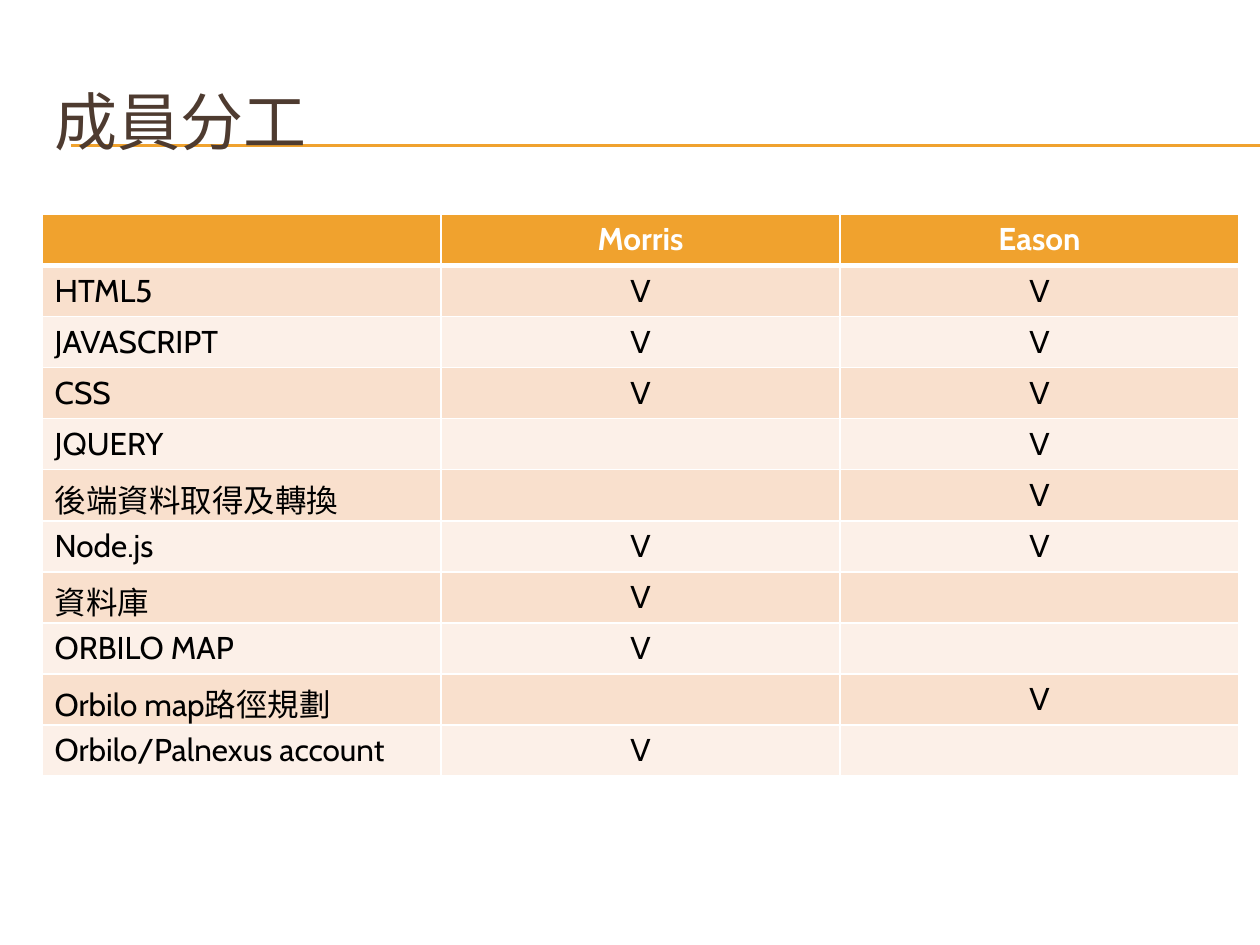
from dataclasses import dataclass

from lxml.etree import SubElement
from pptx import Presentation
from pptx.dml.color import RGBColor as RGB
from pptx.enum.shapes import MSO_CONNECTOR as Connector
from pptx.enum.text import MSO_ANCHOR as Anchor, PP_ALIGN as Align
from pptx.oxml.ns import qn
from pptx.util import Pt


@dataclass(frozen=True)
class Theme:
    font: str = "Cabin"
    title_size: int = 36
    table_size: int = 18
    title: str = "4E3B30"
    accent: str = "F0A22E"
    text: str = "000000"
    white: str = "FFFFFF"
    bands: tuple = ("F9E0CD", "FCF0E8")


THEME = Theme()
HEADER = ("", "Morris", "Eason")
TASKS = (
    ("HTML5", "V", "V"),
    ("JAVASCRIPT", "V", "V"),
    ("CSS", "V", "V"),
    ("JQUERY", "", "V"),
    ("後端資料取得及轉換", "", "V"),
    ("Node.js", "V", "V"),
    ("資料庫", "V", ""),
    ("ORBILO MAP", "V", ""),
    ("Orbilo map路徑規劃", "", "V"),
    ("Orbilo/Palnexus account", "V", ""),
)


def write(paragraph, text, size, color, bold=False):
    run = paragraph.add_run()
    run.text = text
    formats = {"name": THEME.font, "size": Pt(size), "bold": bold}
    for name, value in formats.items():
        setattr(run.font, name, value)
    run.font.color.rgb = RGB.from_string(color)


def add_rules(slide, left, top, width, gap):
    for y in (top, top + gap):
        line = slide.shapes.add_connector(
            Connector.STRAIGHT, Pt(left), Pt(y), Pt(left + width), Pt(y))
        line.line.color.rgb = RGB.from_string(THEME.accent)
        line.line.width = Pt(0.75)
        SubElement(line.element.spPr, qn("a:effectLst"))


def add_title(slide, text, left, top, width, height):
    shape = slide.shapes.add_textbox(Pt(left), Pt(top), Pt(width), Pt(height))
    frame = shape.text_frame
    frame.word_wrap = True
    frame.vertical_anchor = Anchor.MIDDLE
    write(frame.paragraphs[0], text, THEME.title_size, THEME.title)


def add_borders(cell, widths):
    properties = cell._tc.get_or_add_tcPr()
    for side, width in widths.items():
        line = SubElement(properties, qn(f"a:ln{side}"), w=str(Pt(width)))
        fill = SubElement(line, qn("a:solidFill"))
        SubElement(fill, qn("a:srgbClr"), val=THEME.white)


def add_task_table(slide, left, top, width, row_height):
    rows = (HEADER, *TASKS)
    table = slide.shapes.add_table(
        len(rows), len(HEADER), Pt(left), Pt(top),
        Pt(width), Pt(row_height * len(rows))).table
    for row_index, values in enumerate(rows):
        is_header = row_index == 0
        fill = THEME.accent if is_header else THEME.bands[(row_index - 1) % 2]
        color = THEME.white if is_header else THEME.text
        borders = {"L": 1, "R": 1, "T": 3 if row_index == 1 else 1,
                   "B": 3 if is_header else 1}
        for column_index, value in enumerate(values):
            cell = table.cell(row_index, column_index)
            add_borders(cell, borders)
            cell.fill.solid()
            cell.fill.fore_color.rgb = RGB.from_string(fill)
            paragraph = cell.text_frame.paragraphs[0]
            paragraph.alignment = Align.CENTER if column_index else Align.LEFT
            if value:
                write(paragraph, value, THEME.table_size, color, is_header)


def main():
    presentation = Presentation()
    presentation.slide_width, presentation.slide_height = Pt(720), Pt(540)
    slide = presentation.slides.add_slide(presentation.slide_layouts[6])
    add_rules(slide, left=40.5, top=82.8, width=679.5, gap=0.6)
    add_title(slide, "成員分工", left=24, top=36, width=684, height=66)
    add_task_table(slide, left=24, top=122.4, width=684, row_height=29.2)
    presentation.save("out.pptx")


if __name__ == "__main__":
    main()
